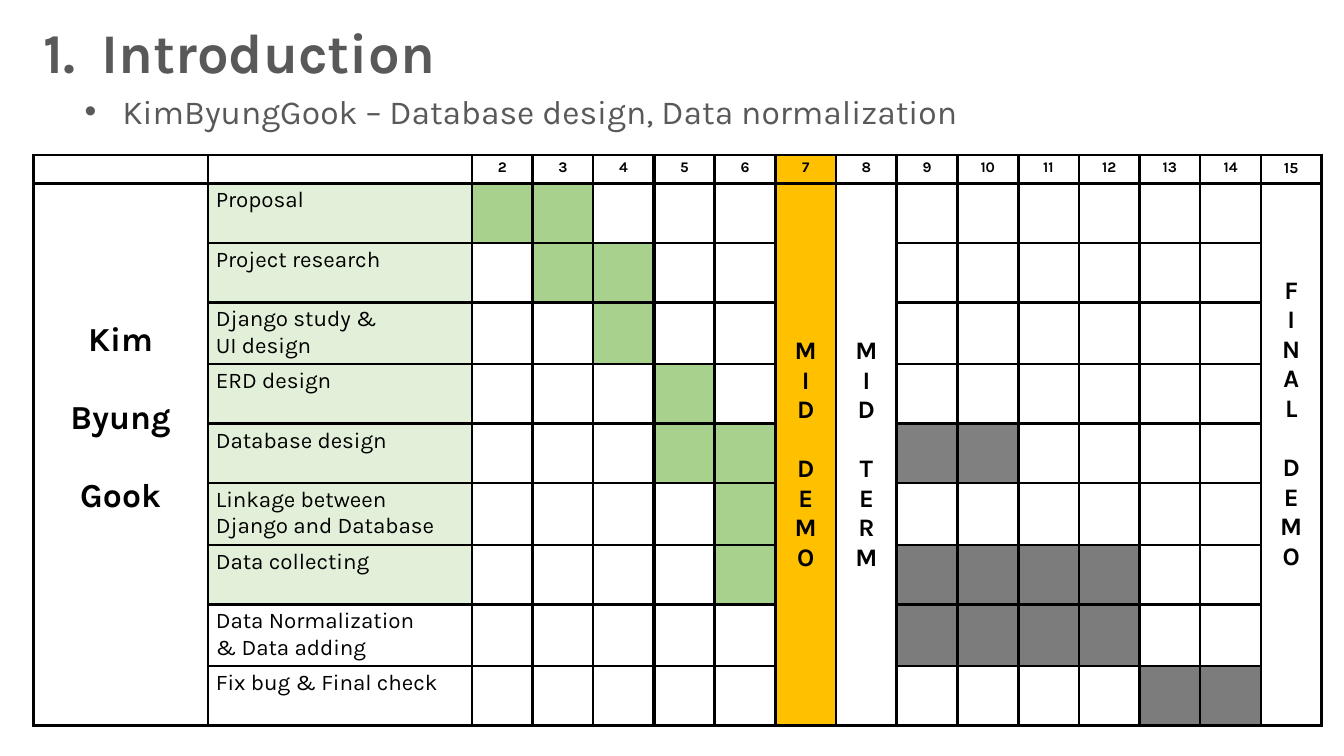
from lxml.etree import SubElement
from pptx import Presentation
from pptx.dml.color import RGBColor
from pptx.enum.text import MSO_ANCHOR as Anchor, PP_ALIGN as Align
from pptx.oxml import parse_xml
from pptx.oxml.ns import nsdecls, qn
from pptx.util import Inches, Pt

COLORS = {
    "heading": "595959",
    "black": "000000",
    "white": "FFFFFF",
    "label": "E2F0D9",
    "done": "A9D18E",
    "demo": "FFC000",
    "planned": "7C7C7C",
    "redesign": "808080",
}
WEEKS = range(2, 16)
TASKS = [
    (["Proposal"], "label", {2: "done", 3: "done"}),
    (["Project research"], "label", {3: "done", 4: "done"}),
    (["Django study &", "UI design"], "label", {4: "done"}),
    (["ERD design"], "label", {5: "done"}),
    (["Database design"], "label",
     {5: "done", 6: "done", 9: "redesign", 10: "redesign"}),
    (["Linkage between Django and Database"], "label", {6: "done"}),
    (["Data collecting"], "label",
     {6: "done"} | dict.fromkeys(range(9, 13), "planned")),
    (["Data Normalization", "& Data adding"], "white",
     dict.fromkeys(range(9, 13), "planned")),
    (["Fix bug & Final check"], "white", {13: "planned", 14: "planned"}),
]
MILESTONES = {7: ["MID", "DEMO"], 8: ["MID", "TERM"], 15: ["FINAL", "DEMO"]}
NAME_COLUMN, TASK_COLUMN, FIRST_WEEK_COLUMN = 0, 1, 2
NAME_WIDTH, TASK_WIDTH = 12.98, 19.65
HEADER_HEIGHT, TASK_HEIGHT = 3.73, 7.87


class SlideBuilder:
    font = "Karla"
    thin_line, thick_line = 1.98, 2.55

    def __init__(self, presentation):
        self.width = presentation.slide_width
        self.height = presentation.slide_height
        self.slide = presentation.slides.add_slide(presentation.slide_layouts[5])

    def across(self, percent):
        return round(self.width * percent / 100)

    def down(self, percent):
        return round(self.height * percent / 100)

    def area(self, left, top, width, height):
        return (self.across(left), self.down(top),
                self.across(width), self.down(height))

    def add_lines(self, frame, lines, size, color="black", bold=False,
                  align=Align.LEFT, gaps=()):
        frame.word_wrap = True
        for index, line in enumerate(lines):
            paragraph = frame.add_paragraph() if index else frame.paragraphs[0]
            paragraph.alignment = align
            paragraph.space_before = Pt(gaps[index] if gaps else 0)
            run = paragraph.add_run()
            run.text = line
            run.font.name = self.font
            run.font.size = Pt(size)
            run.font.bold = bold
            run.font.color.rgb = RGBColor.from_string(COLORS[color])
        return frame.paragraphs[0]._p.get_or_add_pPr()

    def title(self, text, area, tab):
        shape = self.slide.shapes.title
        shape.left, shape.top, shape.width, shape.height = self.area(*area)
        frame = shape.text_frame
        frame.vertical_anchor = Anchor.TOP
        frame.margin_left = frame.margin_right = Inches(0.1)
        frame.margin_top = frame.margin_bottom = Inches(0.05)
        properties = self.add_lines(frame, [text], 40, "heading", True)
        stops = SubElement(properties, qn("a:tabLst"))
        SubElement(stops, qn("a:tab"), pos=str(self.across(tab)), algn="l")

    def bullet(self, text, area, indent):
        shape = self.slide.shapes.add_textbox(*self.area(*area))
        properties = self.add_lines(shape.text_frame, [text], 24, "heading")
        properties.set("marL", str(self.across(indent)))
        properties.set("indent", str(-self.across(indent)))
        SubElement(properties, qn("a:buFont"), typeface="Arial")
        SubElement(properties, qn("a:buChar"), char="•")

    def table(self, area, columns, rows):
        frame = self.slide.shapes.add_table(len(rows), len(columns),
                                            *self.area(*area))
        table = frame.table
        table.first_row = table.horz_banding = False
        for column, width in zip(table.columns, columns):
            column.width = self.across(width)
        for row, height in zip(table.rows, rows):
            row.height = self.down(height)
        return table

    def cell(self, cell, fill="white", thick=""):
        cell.fill.solid()
        cell.fill.fore_color.rgb = RGBColor.from_string(COLORS[fill])
        self.pad(cell, 0.08, 0.04)
        properties = cell._tc.get_or_add_tcPr()
        for index, side in enumerate("LRTB"):
            width = Pt(self.thick_line if side == thick else self.thin_line)
            properties.insert(index, parse_xml(
                f'<a:ln{side} {nsdecls("a")} w="{width}"><a:solidFill>'
                f'<a:srgbClr val="{COLORS["black"]}"/></a:solidFill></a:ln{side}>'))
        SubElement(cell.text_frame.paragraphs[0]._p, qn("a:endParaRPr"), sz="1050")

    def pad(self, cell, side, top):
        cell.margin_left = cell.margin_right = Inches(side)
        cell.margin_top = cell.margin_bottom = Inches(top)

    def column_text(self, table, column, words, size, gap, spell=False):
        cell = table.cell(1, column)
        cell.merge(table.cell(len(table.rows) - 1, column))
        lines, gaps = [], []
        for number, word in enumerate(words):
            parts = list(word) if spell else [word]
            lines += parts
            gaps += [gap if number else 0] + [0] * (len(parts) - 1)
        self.add_lines(cell.text_frame, lines, size, bold=True,
                       align=Align.CENTER, gaps=gaps)
        return cell


def fill_schedule(builder, table):
    for row in range(len(TASKS) + 1):
        labels, label_fill, fills = TASKS[row - 1] if row else ([], "white", {})
        builder.cell(table.cell(row, NAME_COLUMN))
        task_cell = table.cell(row, TASK_COLUMN)
        builder.cell(task_cell, label_fill)
        builder.add_lines(task_cell.text_frame, labels, 16)
        for column, week in enumerate(WEEKS, FIRST_WEEK_COLUMN):
            cell = table.cell(row, column)
            thick = "R" if week in (4, 10) else "L" if week in (5, 11) else ""
            builder.cell(cell, "demo" if week == 7 else fills.get(week, "white"),
                         thick)
            if row == 0:
                builder.add_lines(cell.text_frame, [str(week)],
                                  11 if week == 15 else 10.5, bold=True,
                                  align=Align.CENTER)

    name_cell = builder.column_text(table, NAME_COLUMN,
                                    ["Kim", "Byung", "Gook"], 24, 28)
    builder.pad(name_cell, 0.11, 0.06)
    name_cell.margin_top = Inches(1.36)
    for week, words in MILESTONES.items():
        column = FIRST_WEEK_COLUMN + WEEKS.index(week)
        cell = builder.column_text(table, column, words, 18, 21, spell=True)
        if week == 15:
            cell.margin_top = Inches(0.92)
        else:
            builder.pad(cell, 0.11, 0.06)
            cell.vertical_anchor = Anchor.MIDDLE


def main():
    presentation = Presentation()
    presentation.slide_width = Inches(13.33)
    presentation.slide_height = Inches(7.5)
    builder = SlideBuilder(presentation)
    builder.title("1.\tIntroduction", (2.48, 1.6, 45.9, 10.27), 4.3)
    builder.bullet("KimByungGook – Database design, Data normalization",
                   (5.55, 11.33, 94.45, 6.67), 2.81)
    table_width = 95.87
    week_width = (table_width - NAME_WIDTH - TASK_WIDTH) / len(WEEKS)
    table = builder.table((2.48, 20.53, table_width, 75.2),
                          [NAME_WIDTH, TASK_WIDTH] + [week_width] * len(WEEKS),
                          [HEADER_HEIGHT] + [TASK_HEIGHT] * len(TASKS))
    fill_schedule(builder, table)
    presentation.save("out.pptx")


if __name__ == "__main__":
    main()
